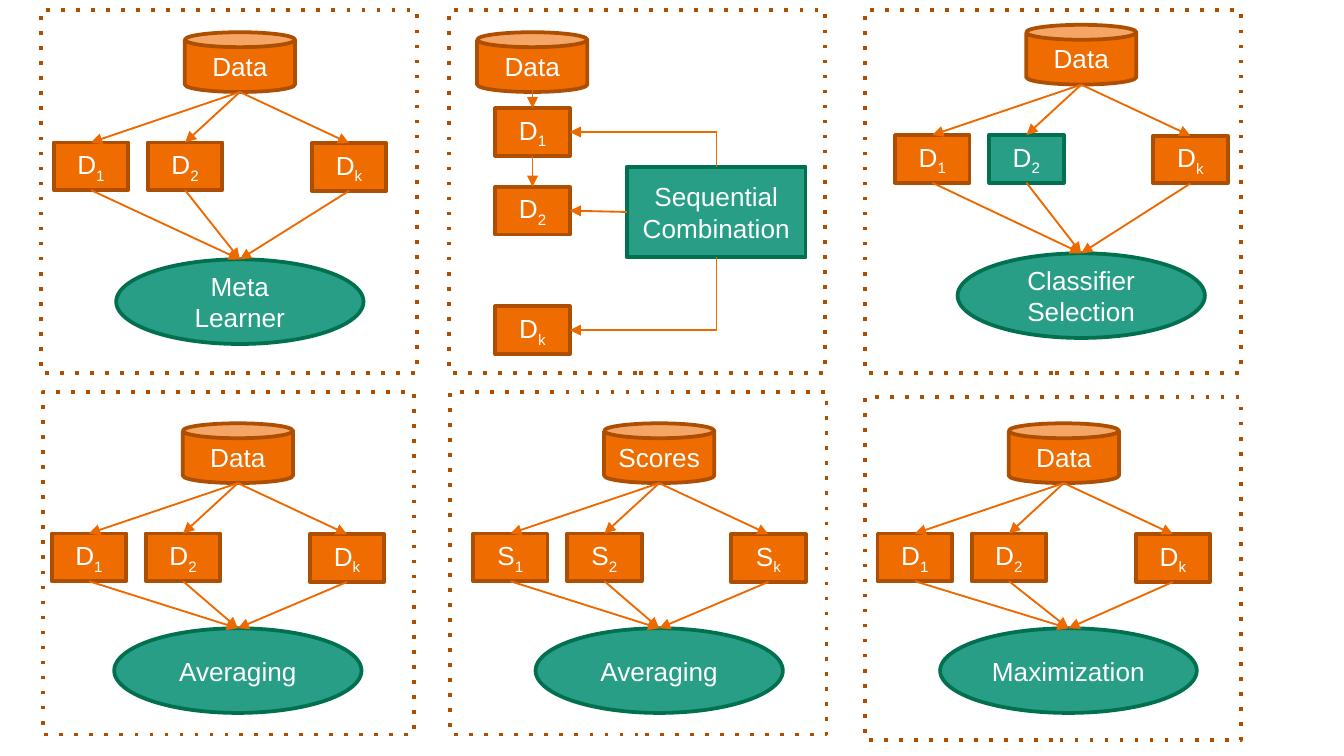
"""Build a slide of six panels that compare ways of combining classifiers."""

import dataclasses
import typing

import lxml.etree
import pptx
import pptx.dml.color
import pptx.enum.shapes
import pptx.enum.text
import pptx.oxml.ns
import pptx.util

SHAPE = pptx.enum.shapes.MSO_SHAPE
CONNECTOR = pptx.enum.shapes.MSO_CONNECTOR
ORANGE = pptx.dml.color.RGBColor(0xEF, 0x6C, 0x00)
BROWN = pptx.dml.color.RGBColor(0xAE, 0x4E, 0x00)
GREEN = pptx.dml.color.RGBColor(0x27, 0x9E, 0x85)
DARK_GREEN = pptx.dml.color.RGBColor(0x00, 0x70, 0x4E)
ARROW = pptx.dml.color.RGBColor(0xEE, 0x68, 0x00)
ELBOW = pptx.dml.color.RGBColor(0xEA, 0x6A, 0x00)
WHITE = pptx.dml.color.RGBColor(0xFF, 0xFF, 0xFF)

SLIDE_WIDTH = pptx.util.Inches(10)
SLIDE_HEIGHT = SLIDE_WIDTH * 9 // 16
COLUMN = SLIDE_WIDTH / 100
ROW = SLIDE_HEIGHT / 56.25

STORE_SIZE = (8.2, 4.45)
MODEL_SIZE = (5.55, 3.55)
TOP, RIGHT, BOTTOM, LEFT = 0, 3, 2, 1
MODEL_OFFSETS = {"1": (-9.75, 8.2), "2": (-2.75, 8.2), "k": (9.45, 8.25)}


class Area(typing.NamedTuple):
    """Left, top, width and height in grid columns and rows."""

    column: float
    row: float
    columns: float
    rows: float


@dataclasses.dataclass(frozen=True)
class Tree:
    """A panel where one store feeds three models that meet in a result."""

    frame: Area
    store: tuple[float, float]
    result: str
    result_row: float
    result_columns: float = 18.4
    source: str = "Data"
    letter: str = "D"
    selected: str = ""


TREES = [
    Tree(Area(3.05, 0.75, 28, 27), (13.75, 2.4), "Meta Learner", 19.3),
    Tree(Area(64.35, 0.75, 28, 27), (76.35, 1.85), "Classifier Selection", 18.85, selected="2"),
    Tree(Area(3.2, 29.15, 27.6, 25.5), (13.6, 31.5), "Averaging", 46.75),
    Tree(Area(33.5, 29.15, 28, 25.5), (44.95, 31.5), "Averaging", 46.75, source="Scores", letter="S"),
    Tree(Area(64.35, 29.55, 28, 25.5), (75.05, 31.5), "Maximization", 46.75, result_columns=19.1),
]


def grid(column: float, row: float) -> tuple[int, int]:
    """Turn a grid position into slide lengths."""
    return round(column * COLUMN), round(row * ROW)


def add_line_part(shape, tag: str, **attributes: str) -> None:
    """Append an element to the outline of a shape or connector."""
    outline = shape._element.spPr.find(pptx.oxml.ns.qn("a:ln"))
    lxml.etree.SubElement(outline, pptx.oxml.ns.qn(tag), attributes)


def write_text(shape, text: str, *, subscript: str = "", size: float = 14,
               font: str = "Arial", color=WHITE) -> None:
    """Centre text in a shape, with an optional subscript."""
    frame = shape.text_frame
    frame.word_wrap = True
    frame.vertical_anchor = pptx.enum.text.MSO_ANCHOR.MIDDLE
    para = frame.paragraphs[0]
    para.alignment = pptx.enum.text.PP_ALIGN.CENTER
    for part in filter(None, (text, subscript)):
        span = para.add_run()
        span.text = part
        span.font.size = pptx.util.Pt(size)
        span.font.name = font
        span.font.color.rgb = color
    if subscript:
        span._r.get_or_add_rPr().set("baseline", "-25000")


def add_box(page, kind, area: Area, *, fill=ORANGE, line=BROWN):
    """Add a filled and outlined shape."""
    box = page.shapes.add_shape(kind, *grid(area.column, area.row), *grid(area.columns, area.rows))
    box.shadow.inherit = False
    box.fill.solid()
    box.fill.fore_color.rgb = fill
    box.line.color.rgb = line
    box.line.width = pptx.util.Pt(2)
    return box


def add_frame(page, area: Area) -> None:
    """Add the dotted frame of a panel."""
    frame = add_box(page, SHAPE.RECTANGLE, area)
    frame.fill.background()
    add_line_part(frame, "a:prstDash", val="dot")
    add_line_part(frame, "a:round")


def add_store(page, column: float, row: float, text: str) -> None:
    """Add a data store."""
    store = add_box(page, SHAPE.CAN, Area(column, row, *STORE_SIZE))
    add_line_part(store, "a:round")
    write_text(store, text)


def add_model(page, column: float, row: float, letter: str, index: str, *, selected: bool = False):
    """Add a model box named by a letter and an index."""
    colors = {"fill": GREEN, "line": DARK_GREEN} if selected else {}
    model = add_box(page, SHAPE.RECTANGLE, Area(column, row, *MODEL_SIZE), **colors)
    add_line_part(model, "a:round")
    write_text(model, letter, subscript=index)
    return model


def add_result(page, kind, area: Area, text: str):
    """Add a green shape that combines the models."""
    result = add_box(page, kind, area, fill=GREEN, line=DARK_GREEN)
    write_text(result, text)
    return result


def add_arrow(page, *, begin=None, end=None, start: tuple[float, float] = (0, 0),
              kind=CONNECTOR.STRAIGHT, color=ARROW, width: float = 1, head: str = "a:tailEnd"):
    """Add an arrow between joined sides, or from a free start point."""
    arrow = page.shapes.add_connector(kind, *grid(*start), *grid(*start))
    if begin:
        arrow.begin_connect(*begin)
    if end:
        arrow.end_connect(*end)
    arrow.line.color.rgb = color
    arrow.line.width = pptx.util.Pt(width)
    add_line_part(arrow, "a:round")
    add_line_part(arrow, head, type="triangle")
    lxml.etree.SubElement(arrow._element.spPr, pptx.oxml.ns.qn("a:effectLst"))
    return arrow


def add_elbow(page, model, combiner, side: int) -> None:
    """Add a one-bend arrow that points at the right side of a model."""
    elbow = add_arrow(page, begin=(model, RIGHT), end=(combiner, side), kind=CONNECTOR.ELBOW,
                      color=ELBOW, width=0.75, head="a:headEnd")
    geometry = elbow._element.spPr.find(pptx.oxml.ns.qn("a:prstGeom"))
    geometry.set("prst", "bentConnector2")


def draw_tree(page, tree: Tree) -> None:
    """Draw a panel with a store, three models and a result."""
    column, row = tree.store
    add_store(page, column, row, tree.source)
    middle = column + STORE_SIZE[0] / 2
    result_area = Area(column - 5.1, tree.result_row, tree.result_columns, 6.3)
    result = add_result(page, SHAPE.OVAL, result_area, tree.result)
    for index, (across, down) in MODEL_OFFSETS.items():
        model = add_model(page, column + across, row + down, tree.letter, index,
                          selected=index == tree.selected)
        add_arrow(page, start=(middle, row + STORE_SIZE[1]), end=(model, TOP))
        add_arrow(page, begin=(model, BOTTOM), end=(result, TOP))
    add_frame(page, tree.frame)


def draw_sequence(page) -> None:
    """Draw the panel where models follow one another."""
    add_frame(page, Area(33.4, 0.75, 28, 27))
    add_store(page, 35.5, 2.4, "Data")
    first, second, last = (
        add_model(page, 36.85, row, "D", index)
        for row, index in ((8.05, "1"), (13.9, "2"), (22.8, "k"))
    )
    combiner = add_result(page, SHAPE.RECTANGLE, Area(46.65, 12.4, 13.3, 6.75),
                          "Sequential Combination")
    add_arrow(page, start=(36.85 + MODEL_SIZE[0] / 2, 5.8), end=(first, TOP))
    add_arrow(page, begin=(first, BOTTOM), end=(second, TOP))
    add_arrow(page, begin=(combiner, LEFT), end=(second, RIGHT))
    add_elbow(page, first, combiner, TOP)
    add_elbow(page, last, combiner, BOTTOM)


def main() -> None:
    """Build and save the deck."""
    deck = pptx.Presentation()
    deck.slide_width, deck.slide_height = SLIDE_WIDTH, SLIDE_HEIGHT
    page = deck.slides.add_slide(deck.slide_layouts[6])
    for tree in TREES:
        draw_tree(page, tree)
    draw_sequence(page)
    deck.save("out.pptx")


if __name__ == "__main__":
    main()
